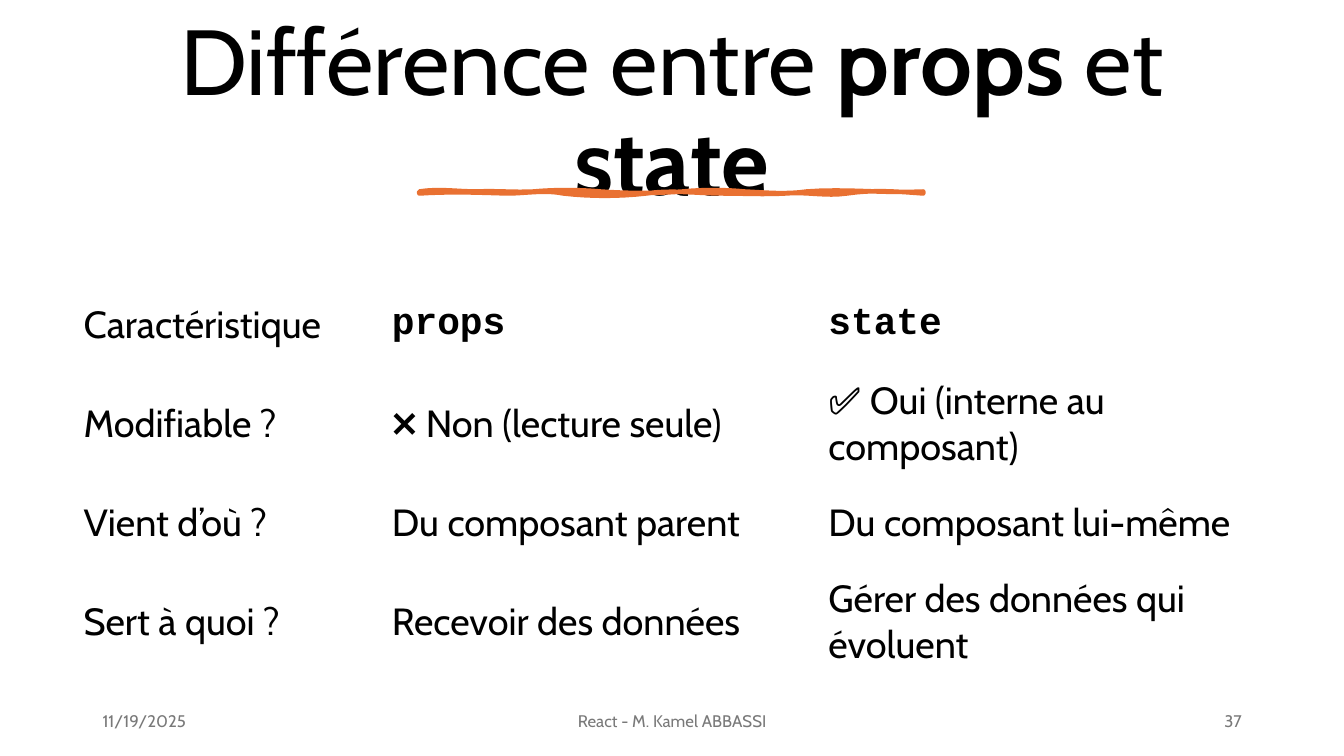
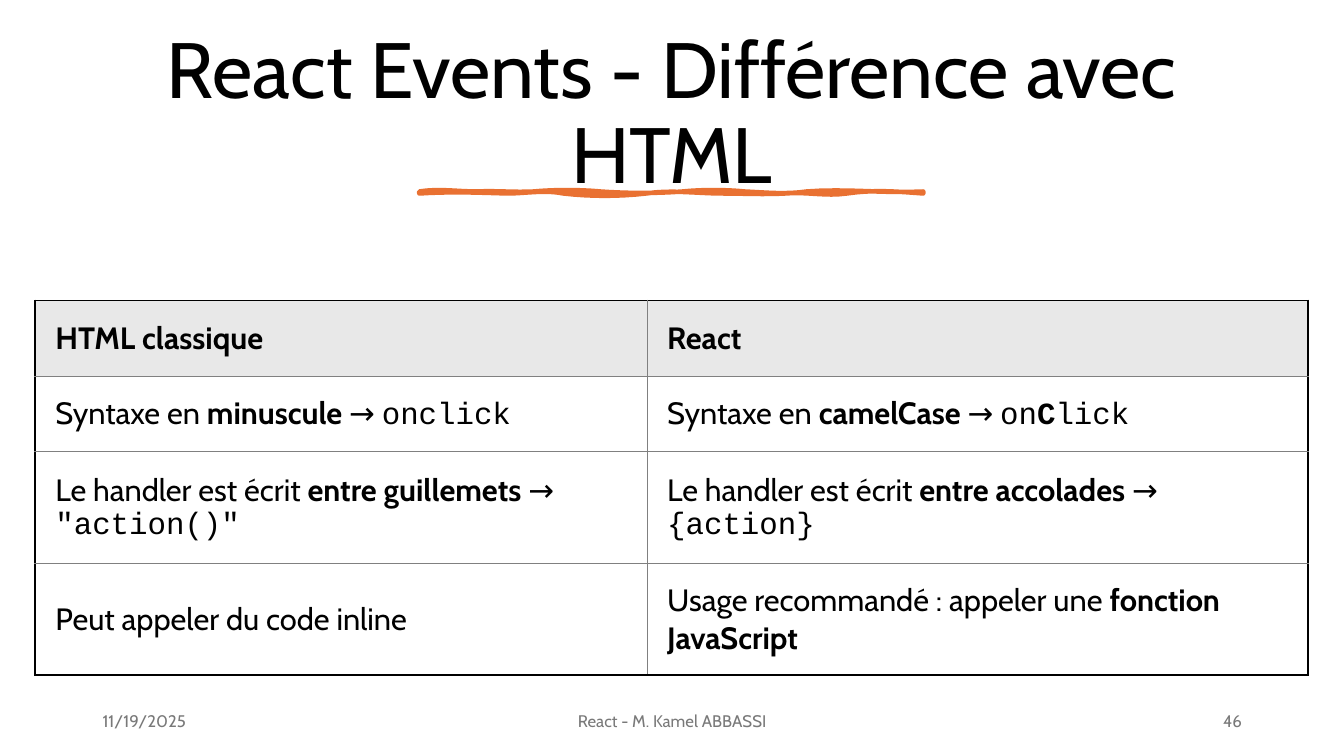
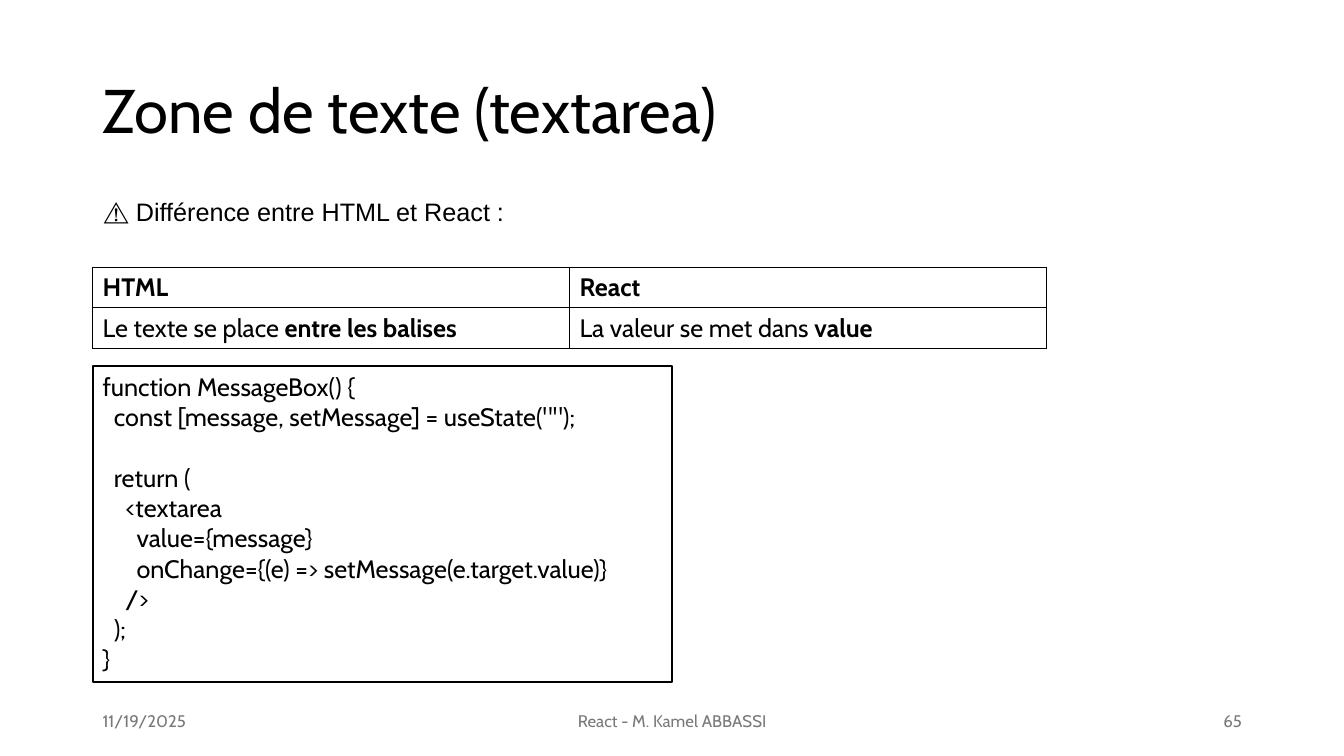
"""Builds three slides on React: props and state, events, and the text area."""
from dataclasses import dataclass

from lxml import etree
from pptx import Presentation
from pptx.dml.color import RGBColor
from pptx.enum import shapes, text
from pptx.oxml import ns
from pptx.util import Pt


@dataclass(frozen=True)
class Theme:
    """Colours, fonts and type sizes shared by the slides."""
    ink: str = "000000"
    muted: str = "797979"
    accent: str = "E97132"
    grid: str = "808080"
    header: str = "E8E8E8"
    paper: str = "FFFFFF"
    body: str = "Cabin"
    mono: str = "Courier New"
    plain: str = "Arial"
    title_large: float = 66
    title_medium: float = 56
    title_small: float = 44
    table_large: float = 27
    table_medium: float = 22
    normal: float = 18
    footer: float = 12


THEME = Theme()
ALIGN = text.PP_ALIGN
ANCHOR = text.MSO_ANCHOR
CENTRED_TITLE = (50.4, 33.1, 859, 98.6)
LEFT_TITLE = (66.2, 28.8, 828, 104.4)
UNDERLINE_TOP = [(41, -2.2, 0), (81.4, -0.7, 0.7), (129.6, -1.4, -1.4), (187.9, 1.4, 1.4),
                 (232.6, -1.4, -1.4), (276.5, 0.7, 2.2), (360, -2.2, 1.4)]
UNDERLINE_BOTTOM = [(305.3, -1.4, -2.8), (261.4, 2.2, -1.4), (216.7, 0.8, 0), (162, 0, -2.8),
                    (103, 2.2, 2.2), (62.6, -2.8, 0), (0, -0.7, -1.4)]


def bold(words):
    """Return a bold span."""
    return words, {"bold": True}


def code(words, **style):
    """Return a span in the monospaced font."""
    return words, {"name": THEME.mono, **style}


def write(para, content, size, colour=THEME.ink, font=THEME.body):
    """Fill a paragraph from a string, a span or a list of them."""
    para.font.name, para.font.size = font, Pt(size)
    para.font.color.rgb = RGBColor.from_string(colour)
    spans = content if isinstance(content, list) else [content]
    spans = [span if isinstance(span, tuple) else (span, {}) for span in spans]
    shared = spans[0][1] if len(spans) == 1 else {}
    for name, value in shared.items():
        setattr(para.font, name, value)
    for words, style in spans:
        run = para.add_run()
        run.text = words
        for name, value in style.items():
            if not shared:
                setattr(run.font, name, value)


def add_text(page, bounds, content, size, align=ALIGN.LEFT, anchor=ANCHOR.MIDDLE,
             spacing=None, **style):
    """Add a wrapped one-paragraph text box."""
    box = page.shapes.add_textbox(*map(Pt, bounds))
    frame = box.text_frame
    frame.word_wrap, frame.vertical_anchor = True, anchor
    para = frame.paragraphs[0]
    para.alignment, para.line_spacing = align, spacing
    write(para, content, size, **style)


def wave(start, height, edge, steps=8):
    """Yield points along cubic waves that rest on one height."""
    for end, first, second in edge:
        for step in range(1, steps + 1):
            t = step / steps
            rise = 3 * t * (1 - t) * ((1 - t) * first + t * second)
            yield start + (end - start) * t, height + rise
        start = end


def add_underline(page):
    """Add the hand-drawn stroke below a centred title."""
    left, top, width, depth = 299.5, 136.8, 360, 1.4
    points = [*wave(0, 0, UNDERLINE_TOP), (width, depth),
              *wave(width, depth, UNDERLINE_BOTTOM)]
    builder = page.shapes.build_freeform(Pt(left), Pt(top))
    builder.add_line_segments([(Pt(left + x), Pt(top + y)) for x, y in points])
    stroke = builder.convert_to_shape()
    stroke.shadow.inherit = False
    colour = RGBColor.from_string(THEME.accent)
    stroke.fill.solid()
    stroke.fill.fore_color.rgb = colour
    stroke.line.color.rgb, stroke.line.width = colour, Pt(3.25)


def add_footer(page, number):
    """Add date, course and page number."""
    for left, width, words, align in [(66.2, 216, "11/19/2025", ALIGN.LEFT),
                                      (318.2, 324, "React - M. Kamel ABBASSI", ALIGN.CENTER),
                                      (678.2, 216, str(number), ALIGN.RIGHT)]:
        add_text(page, (left, 500.4, width, 28.8), words, THEME.footer, align,
                 colour=THEME.muted)


def add_page(deck, title, bounds, size, number, centred=True):
    """Add a slide with its title and footer."""
    page = deck.slides.add_slide(deck.slide_layouts[6])
    add_text(page, bounds, title, size, ALIGN.CENTER if centred else ALIGN.LEFT, spacing=0.9)
    if centred:
        add_underline(page)
    add_footer(page, number)
    return page


def set_border(cell, side, colour, width):
    """Draw one side of a cell."""
    line = etree.SubElement(cell._tc.get_or_add_tcPr(), ns.qn(f"a:ln{side}"), w=str(Pt(width)))
    fill = etree.SubElement(line, ns.qn("a:solidFill"))
    etree.SubElement(fill, ns.qn("a:srgbClr"), val=colour)


def add_table(page, origin, columns, heights, rows, size, margins=(7.2, 3.6, 7.2, 3.6),
              outer=None, inner=None, header=None):
    """Add a table with optional frame, grid and header fill."""
    count = len(rows), len(columns)
    bounds = (*origin, sum(columns), sum(heights))
    table = page.shapes.add_table(*count, *map(Pt, bounds)).table
    table.first_row = table.horz_banding = False
    for column, width in zip(table.columns, columns):
        column.width = Pt(width)
    for r, (row, height) in enumerate(zip(rows, heights)):
        table.rows[r].height = Pt(height)
        for c, content in enumerate(row):
            cell = table.cell(r, c)
            edges = {"L": c == 0, "R": c == count[1] - 1, "T": r == 0, "B": r == count[0] - 1}
            for side, is_outer in edges.items():
                border = outer if is_outer else inner
                if border:
                    set_border(cell, side, *border)
            if header and r == 0:
                cell.fill.solid()
                cell.fill.fore_color.rgb = RGBColor.from_string(header)
            else:
                cell.fill.background()
            (cell.margin_left, cell.margin_top,
             cell.margin_right, cell.margin_bottom) = map(Pt, margins)
            cell.vertical_anchor = ANCHOR.MIDDLE
            write(cell.text_frame.paragraphs[0], content, size)


def add_code(page, bounds, lines):
    """Add a framed listing from (level, gap before, words) lines."""
    box = page.shapes.add_shape(shapes.MSO_SHAPE.RECTANGLE, *map(Pt, bounds))
    box.shadow.inherit = False
    box.fill.solid()
    box.fill.fore_color.rgb = RGBColor.from_string(THEME.paper)
    box.line.color.rgb, box.line.width = RGBColor.from_string(THEME.ink), Pt(1.5)
    frame = box.text_frame
    frame.word_wrap, frame.vertical_anchor = True, ANCHOR.TOP
    for index, (level, gap, words) in enumerate(lines):
        para = frame.add_paragraph() if index else frame.paragraphs[0]
        para.alignment, para.space_before = ALIGN.LEFT, Pt(gap)
        para._p.get_or_add_pPr().set("marL", str(Pt(8.1 * level)))
        write(para, words, THEME.normal)


def add_props_page(deck):
    """Compare props and state."""
    title = ["Différence entre ", bold("props"), " et ", bold("state")]
    page = add_page(deck, title, CENTRED_TITLE, THEME.title_large, 37)
    rows = [
        ["Caractéristique", code("props", bold=True), code("state", bold=True)],
        ["Modifiable ?", "❌ Non (lecture seule)", "✅ Oui (interne au composant)"],
        ["Vient d’où ?", "Du composant parent", "Du composant lui-même"],
        ["Sert à quoi ?", "Recevoir des données", "Gérer des données qui évoluent"],
    ]
    add_table(page, (47.5, 207.4), (220.3, 311.8, 331.9), (54.7, 87.1) * 2, rows,
              THEME.table_large, margins=(12.2, 6.5, 12.2, 12.2))


def add_events_page(deck):
    """Compare events in HTML and React."""
    page = add_page(deck, "React Events - Différence avec HTML", CENTRED_TITLE,
                    THEME.title_medium, 46)
    rows = [
        [bold("HTML classique"), bold("React")],
        [["Syntaxe en ", bold("minuscule"), " → ", code("onclick")],
         ["Syntaxe en ", bold("camelCase"), " → ", code("on"), code("C", bold=True),
          code("lick")]],
        [["Le handler est écrit ", bold("entre guillemets"), " → ", code('"action()"')],
         ["Le handler est écrit ", bold("entre accolades"), " → ", code("{action}")]],
        ["Peut appeler du code inline",
         ["Usage recommandé : appeler une ", bold("fonction JavaScript")]],
    ]
    add_table(page, (25.2, 214.6), (437, 472.3), (54, 54, 79.9, 79.9), rows,
              THEME.table_medium, margins=(14.4, 11.5, 18, 11.5),
              outer=(THEME.ink, 1.5), inner=(THEME.grid, 0.5), header=THEME.header)


def add_textarea_page(deck):
    """Show the text area in HTML and React."""
    page = add_page(deck, "Zone de texte (textarea)", LEFT_TITLE, THEME.title_small, 65,
                    centred=False)
    rows = [
        [bold("HTML"), bold("React")],
        [["Le texte se place ", bold("entre les balises")],
         ["La valeur se met dans ", bold("value")]],
    ]
    border = (THEME.ink, 1)
    add_table(page, (66.2, 190.8), (340.6,) * 2, (29,) * 2, rows, THEME.normal,
              outer=border, inner=border)
    add_text(page, (67, 136.8, 328.3, 51.1), "⚠️ Différence entre HTML et React :",
             THEME.normal, anchor=ANCHOR.TOP, font=THEME.plain)
    add_code(page, (66.2, 261.7, 414, 225.4), [
        (0, 0, "function MessageBox() {"),
        (1, 0, 'const [message, setMessage] = useState("");'),
        (1, 21.7, "return ("),
        (2, 0, "<textarea"),
        (3, 0, "value={message}"),
        (3, 0, "onChange={(e) => setMessage(e.target.value)}"),
        (2, 0, "/>"),
        (1, 0, ");"),
        (0, 0, "}"),
    ])


def main():
    """Build and save the deck."""
    deck = Presentation()
    deck.slide_width, deck.slide_height = Pt(960), Pt(540)
    add_props_page(deck)
    add_events_page(deck)
    add_textarea_page(deck)
    deck.save("out.pptx")


if __name__ == "__main__":
    main()
